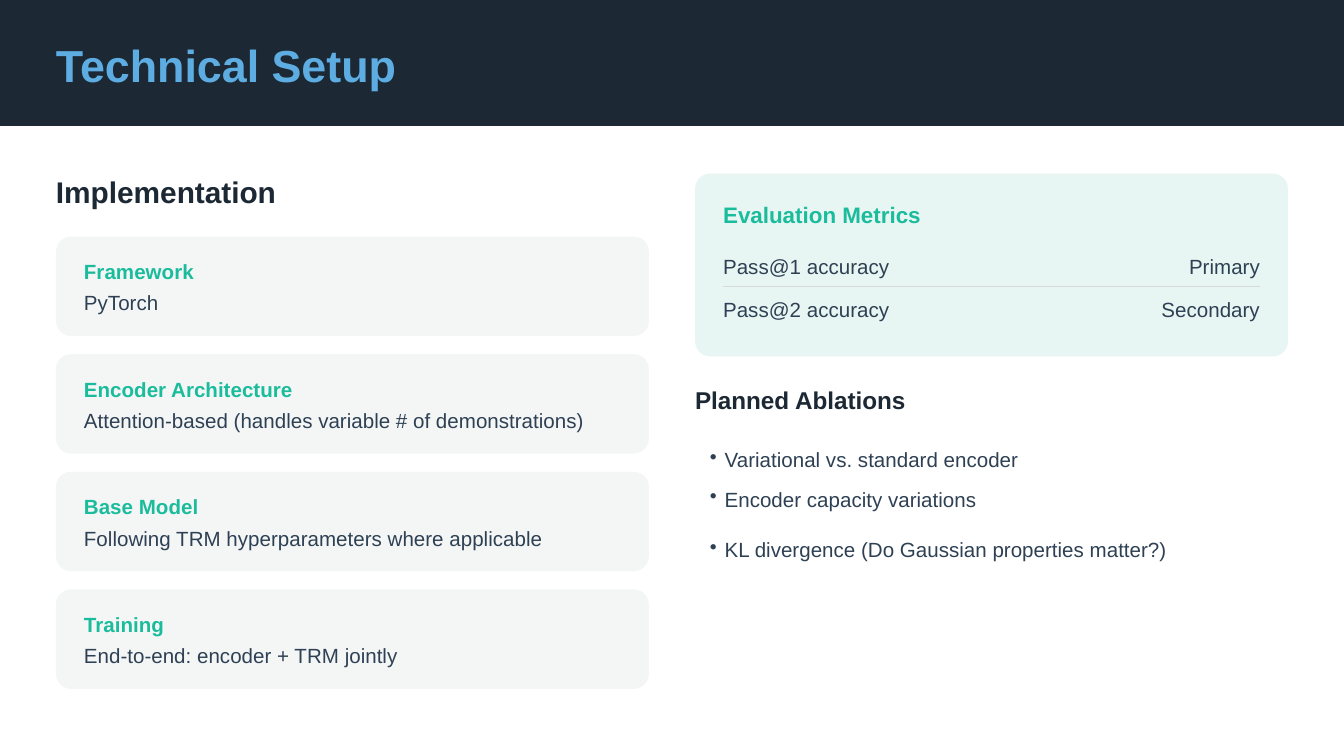
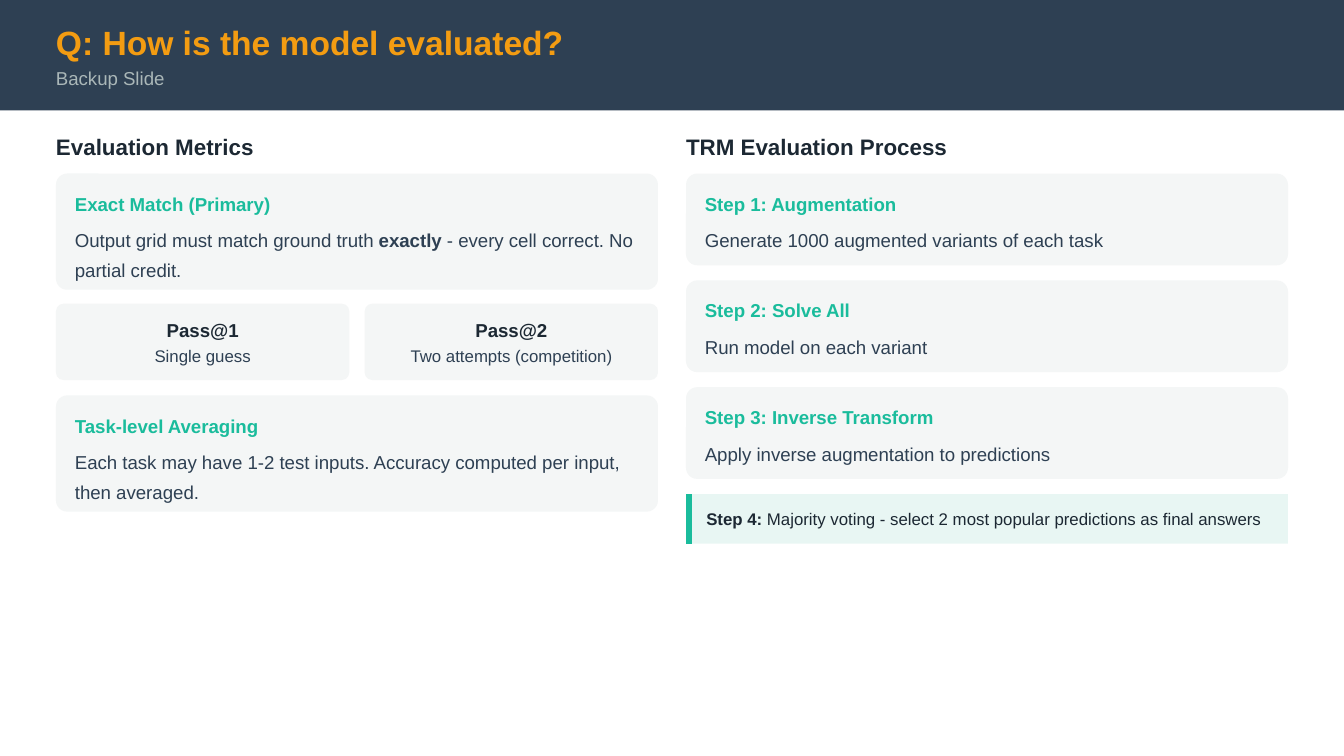
from lxml.etree import SubElement
from pptx import Presentation
from pptx.dml.color import RGBColor
from pptx.enum.shapes import MSO_CONNECTOR, MSO_SHAPE
from pptx.enum.text import MSO_ANCHOR, MSO_AUTO_SIZE, PP_ALIGN
from pptx.oxml.ns import qn
from pptx.util import Inches, Pt

WIDE, TALL = Inches(10), Inches(5.625)
COLS, ROWS = 960, 540
EDGE = 40
INK, SLATE, TEAL = "1C2833", "2E4053", "1ABC9C"
CARD, MINT, RULE = "F4F6F6", "E8F6F3", "D5DBDB"
SKY, AMBER, MIST = "5DADE2", "F39C12", "AAB7B8"
LEFT, MID, RIGHT = PP_ALIGN.LEFT, PP_ALIGN.CENTER, PP_ALIGN.RIGHT
FRAME = {
    "margin_left": 0, "margin_right": 0, "margin_top": 0, "margin_bottom": 0,
    "word_wrap": True, "auto_size": MSO_AUTO_SIZE.NONE,
    "vertical_anchor": MSO_ANCHOR.TOP,
}


def paint(text):
    return RGBColor.from_string(text)


def apply(item, form):
    for name, value in form.items():
        setattr(item, name, value)


def grid(x, y, w, h):
    spots = (x / COLS * WIDE, y / ROWS * TALL, w / COLS * WIDE, h / ROWS * TALL)
    return [round(spot) for spot in spots]


def fill_line(para, parts, size, color):
    for text, bold in parts:
        run = para.add_run()
        run.text = text
        apply(run.font, {"name": "Arial", "size": Pt(size), "bold": bold})
        run.font.color.rgb = paint(color)


def label(slide, box, text, size, color, bold=False, align=LEFT, lead=None):
    shape = slide.shapes.add_textbox(*grid(*box))
    apply(shape.text_frame, FRAME)
    para = shape.text_frame.paragraphs[0]
    apply(para, {"alignment": align, "line_spacing": lead})
    parts = [(text, bold)] if isinstance(text, str) else text
    fill_line(para, parts, size, color)


def panel(slide, box, color, curve=0):
    kind = MSO_SHAPE.ROUNDED_RECTANGLE if curve else MSO_SHAPE.RECTANGLE
    shape = slide.shapes.add_shape(kind, *grid(*box))
    if curve:
        shape.adjustments[0] = curve / min(box[2:])
    shape.shadow.inherit = False
    shape.fill.solid()
    shape.fill.fore_color.rgb = paint(color)
    shape.line.fill.background()
    return shape


def stroke(slide, x, y, w, h, color, width):
    left, top, wide, tall = grid(x, y, w, h)
    line = slide.shapes.add_connector(
        MSO_CONNECTOR.STRAIGHT, left, top, left + wide, top + tall)
    line.line.color.rgb = paint(color)
    line.line.width = Pt(width)
    SubElement(line.element.spPr, qn("a:effectLst"))


def header(deck, text, color, size, top, band, tall):
    slide = deck.slides.add_slide(deck.slide_layouts[5])
    title = slide.shapes.title
    bar = panel(slide, (0, 0, COLS, tall), band)
    title.element.addprevious(bar.element)
    place = grid(EDGE, top, 898, size * 1.55)
    apply(title, dict(zip(("left", "top", "width", "height"), place)))
    apply(title.text_frame, FRAME)
    para = title.text_frame.paragraphs[0]
    para.alignment = LEFT
    fill_line(para, [(text, True)], size, color)
    return slide


def card(slide, x, y, w, h, head, body, size, pad, drop, curve, lead=None):
    panel(slide, (x, y, w, h), CARD, curve)
    side, top = pad
    wide = w - side - 4
    label(slide, (x + side, y + top, wide, 16), head, size, TEAL, True)
    label(slide, (x + side, y + drop, wide, h - drop - 13), body, size, SLATE, lead=lead)


def tile(slide, x, y, w, h, head, body):
    panel(slide, (x, y, w, h), CARD, 5.4)
    label(slide, (x + 8, y + 10.5, w - 16, 15), head, 10, INK, True, MID)
    label(slide, (x + 8, y + 30, w - 16, 14), body, 9, SLATE, align=MID)


def score(slide, x, y, w, name, rank):
    label(slide, (x, y, w / 2, 16), name, 11, SLATE)
    label(slide, (x + w / 2, y, w / 2, 16), rank, 11, SLATE, align=RIGHT)


def bullets(slide, box, items):
    shape = slide.shapes.add_textbox(*grid(*box))
    apply(shape.text_frame, {**FRAME, "margin_left": Inches(0.11)})
    for index, (text, gap) in enumerate(items):
        frame = shape.text_frame
        para = frame.add_paragraph() if index else frame.paragraphs[0]
        props = para._p.get_or_add_pPr()
        props.set("marL", str(Inches(0.11)))
        props.set("indent", str(-Inches(0.11)))
        tint = SubElement(props, qn("a:buClr"))
        SubElement(tint, qn("a:srgbClr"), val=SLATE)
        SubElement(props, qn("a:buChar"), char="•")
        apply(para, {"line_spacing": 1.6, "space_before": Pt(gap)})
        fill_line(para, [(text, False)], 11, SLATE)


def setup(deck):
    slide = header(deck, "Technical Setup", SKY, 24, 27, INK, 90)
    wide, top = 423.5, 124
    side = COLS - EDGE - wide
    label(slide, (EDGE, top, wide, 25), "Implementation", 16, INK, True)
    parts = (
        ("Framework", "PyTorch"),
        ("Encoder Architecture", "Attention-based (handles variable # of demonstrations)"),
        ("Base Model", "Following TRM hyperparameters where applicable"),
        ("Training", "End-to-end: encoder + TRM jointly"),
    )
    for index, (head, body) in enumerate(parts):
        card(slide, EDGE, 169 + 84 * index, wide, 71, head, body,
             11, (20, 16), 38.5, 10.7)

    panel(slide, (side, top, wide, 130.5), MINT, 10.6)
    inner, span = side + 20, wide - 40
    label(slide, (inner, 144, span, 18), "Evaluation Metrics", 12, TEAL, True)
    stroke(slide, inner, 204.5, span, 0, RULE, 0.75)
    ranks = (("Pass@1 accuracy", "Primary"), ("Pass@2 accuracy", "Secondary"))
    for index, (name, rank) in enumerate(ranks):
        score(slide, inner, 181.5 + 30.5 * index, span, name, rank)

    label(slide, (side, 275, wide, 21), "Planned Ablations", 13, INK, True)
    bullets(slide, (side, 309, wide, 118), (
        ("Variational vs. standard encoder", 0),
        ("Encoder capacity variations", 0),
        ("KL divergence (Do Gaussian properties matter?)", 6),
    ))


def backup(deck):
    slide = header(deck, "Q: How is the model evaluated?", AMBER, 18, 16, SLATE, 79)
    label(slide, (EDGE, 48, 898, 15), "Backup Slide", 10, MIST)
    wide, top, gap = 430, 124, 11
    side = COLS - EDGE - wide
    look = {"size": 10, "pad": (13.5, 13.5), "drop": 35, "curve": 8, "lead": 1.3}
    for x, head in ((EDGE, "Evaluation Metrics"), (side, "TRM Evaluation Process")):
        label(slide, (x, 95, wide, 18), head, 12, INK, True)

    tall, low = 83, 54.5
    card(slide, EDGE, top, wide, tall, "Exact Match (Primary)", (
        ("Output grid must match ground truth ", False),
        ("exactly", True),
        (" - every cell correct. No partial credit.", False),
    ), **look)
    half = (wide - gap) / 2
    tries = (("Pass@1", "Single guess"), ("Pass@2", "Two attempts (competition)"))
    for index, (head, body) in enumerate(tries):
        tile(slide, EDGE + (half + gap) * index, top + tall + gap - 1,
             half, low, head, body)
    card(slide, EDGE, top + tall + low + 2 * gap - 1, wide, tall,
         "Task-level Averaging",
         "Each task may have 1-2 test inputs. Accuracy computed per input, then averaged.",
         **look)

    steps = (
        ("Step 1: Augmentation", "Generate 1000 augmented variants of each task"),
        ("Step 2: Solve All", "Run model on each variant"),
        ("Step 3: Inverse Transform", "Apply inverse augmentation to predictions"),
    )
    pitch = 76.3
    for index, (head, body) in enumerate(steps):
        card(slide, side, top + pitch * index, wide, 65.5, head, body, **look)
    last = top + pitch * len(steps)
    panel(slide, (side, last, wide, 35.5), MINT)
    stroke(slide, side + 2, last, 0, 35.5, TEAL, 3)
    label(slide, (side + 14.5, last + 10.5, wide - 17, 14), (
        ("Step 4:", True),
        (" Majority voting - select 2 most popular predictions as final answers", False),
    ), 9, INK)


def main():
    deck = Presentation()
    apply(deck, {"slide_width": WIDE, "slide_height": TALL})
    setup(deck)
    backup(deck)
    deck.save("out.pptx")


if __name__ == "__main__":
    main()
